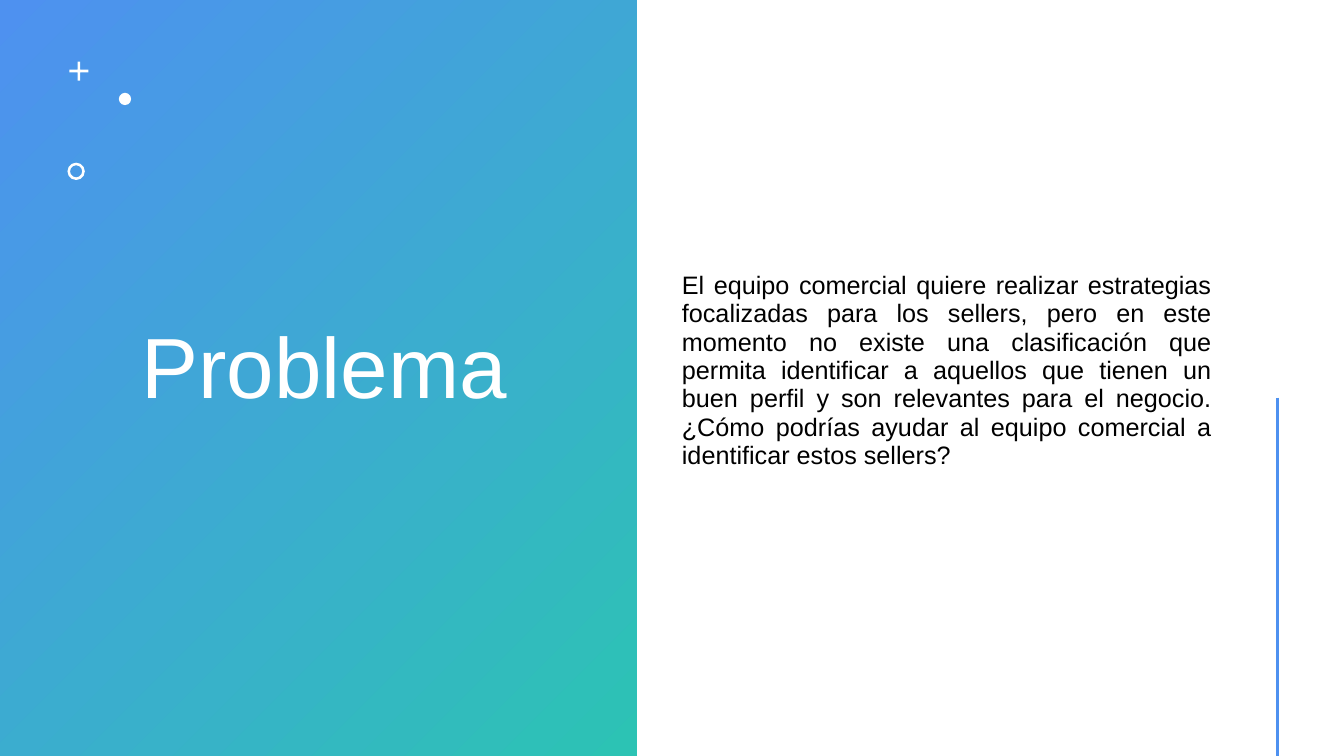
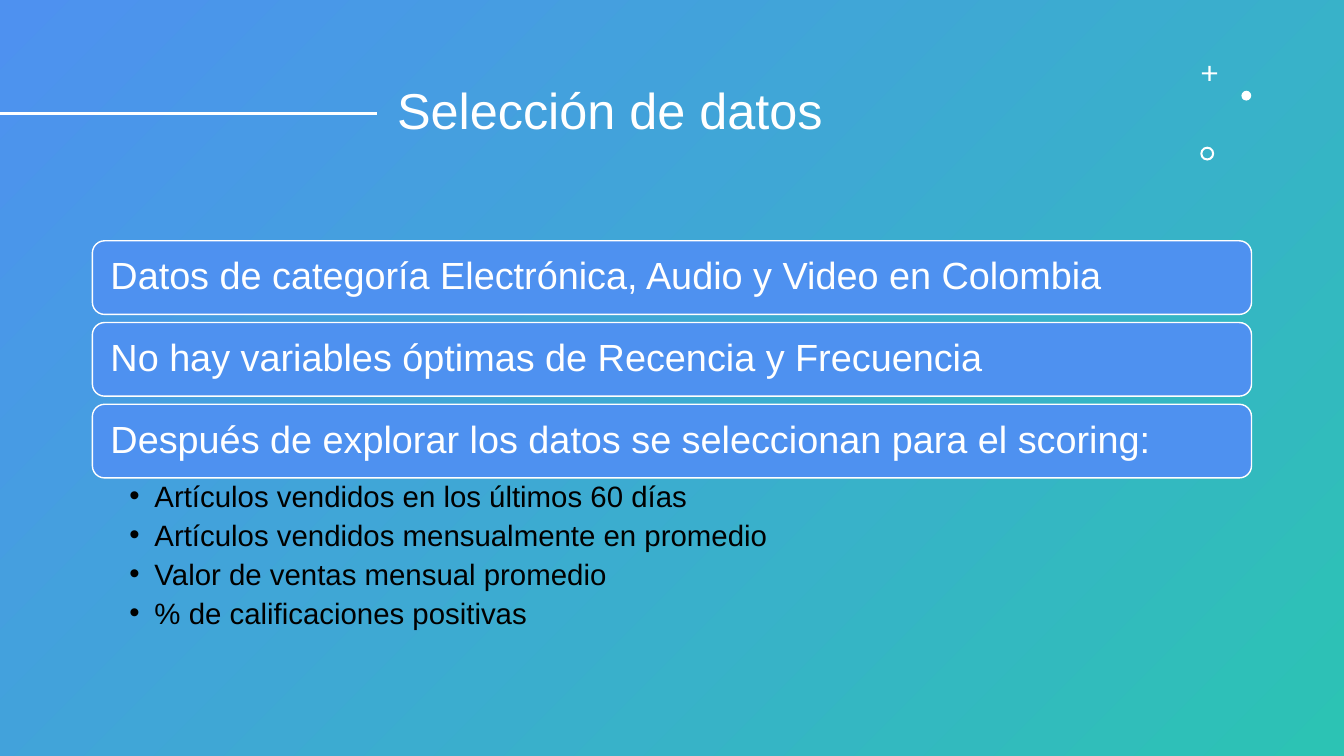
from lxml import etree
from pptx import Presentation
from pptx.dml.color import RGBColor
from pptx.enum.shapes import MSO_CONNECTOR as Connector, MSO_SHAPE as Shape
from pptx.enum.text import MSO_ANCHOR as Anchor, PP_ALIGN as Align
from pptx.oxml.ns import qn
from pptx.util import Pt

COLORS = {"blue": "4E91F0", "teal": "2CC3B4", "white": "FFFFFF", "black": "000000"}
FONT = "Arial"
WIDTH, HEIGHT = 960, 540


def rgb(name):
    return RGBColor.from_string(COLORS[name])


def write(frame, *lines, size=18, color="black", align=Align.LEFT, anchor=Anchor.MIDDLE,
          spacing=0.9, after=0, insets=(7.2, 3.6, 7.2, 3.6), bullet=None, indent=18):
    frame.word_wrap = True
    frame.vertical_anchor = anchor
    (frame.margin_left, frame.margin_top,
     frame.margin_right, frame.margin_bottom) = map(Pt, insets)
    for index, line in enumerate(lines):
        paragraph = frame.add_paragraph() if index else frame.paragraphs[0]
        paragraph.alignment = align
        paragraph.line_spacing = spacing
        paragraph.space_after = Pt(after)
        run = paragraph.add_run()
        run.text = line
        run.font.name = FONT
        run.font.size = Pt(size)
        run.font.color.rgb = rgb(color)
        if bullet:
            properties = paragraph._p.get_or_add_pPr()
            properties.set("marL", str(Pt(indent)))
            properties.set("indent", str(-Pt(indent)))
            etree.SubElement(properties, qn("a:buFont")).set("typeface", FONT)
            etree.SubElement(properties, qn("a:buChar")).set("char", bullet)


class Deck:
    def __init__(self):
        self.presentation = Presentation()
        self.presentation.slide_width = Pt(WIDTH)
        self.presentation.slide_height = Pt(HEIGHT)
        self.slide = None

    def new_slide(self):
        self.slide = self.presentation.slides.add_slide(self.presentation.slide_layouts[6])

    def shape(self, kind, left, top, width, height, fill="white", outline=None):
        shape = self.slide.shapes.add_shape(kind, Pt(left), Pt(top), Pt(width), Pt(height))
        shape.shadow.inherit = False
        shape.fill.solid()
        shape.fill.fore_color.rgb = rgb(fill)
        if outline:
            shape.line.color.rgb = rgb(outline)
            shape.line.width = Pt(1)
        else:
            shape.line.fill.background()
        return shape

    def gradient_panel(self, width):
        panel = self.shape(Shape.RECTANGLE, 0, 0, width, HEIGHT)
        panel.fill.gradient()
        panel.fill.gradient_angle = 315
        for stop, color, position in zip(panel.fill.gradient_stops, ("blue", "teal"), (0, 1)):
            stop.color.rgb = rgb(color)
            stop.position = position

    def text(self, left, top, width, height, *lines, **style):
        box = self.slide.shapes.add_textbox(Pt(left), Pt(top), Pt(width), Pt(height))
        write(box.text_frame, *lines, **style)

    def title(self, left, top, width, height, wording, size):
        self.text(left, top, width, height, wording, size=size, color="white")

    def line(self, x1, y1, x2, y2, color):
        line = self.slide.shapes.add_connector(Connector.STRAIGHT, Pt(x1), Pt(y1), Pt(x2), Pt(y2))
        line.line.color.rgb = rgb(color)
        line.line.width = Pt(2)
        etree.SubElement(line._element.spPr, qn("a:effectLst"))

    def ornaments(self, left, top, scale=1):
        for kind, dx, dy, size, adjustment in (
            (Shape.CROSS, 1.4, 0, 13.6, 0.43),
            (Shape.OVAL, 36.7, 22.3, 8.8, None),
            (Shape.DONUT, 0, 72.2, 12.4, 0.15),
        ):
            ornament = self.shape(kind, left + dx * scale, top + dy * scale,
                                  size * scale, size * scale)
            if adjustment:
                ornament.adjustments[0] = adjustment

    def card(self, left, top, width, height, wording):
        card = self.shape(Shape.ROUNDED_RECTANGLE, left, top, width, height, "blue", "white")
        write(card.text_frame, wording, size=27, color="white", insets=(10.4, 8, 10.4, 8))


def problem_slide(deck):
    deck.new_slide()
    deck.gradient_panel(455)
    deck.title(94, 30, 315, 470, "Problema", 61)
    deck.ornaments(48.2, 44)
    deck.text(480, 30, 392.4, 470,
              "El equipo comercial quiere realizar estrategias focalizadas para los sellers, "
              "pero en este momento no existe una clasificación que permita identificar a "
              "aquellos que tienen un buen perfil y son relevantes para el negocio. ¿Cómo "
              "podrías ayudar al equipo comercial a identificar estos sellers?",
              align=Align.JUSTIFY, spacing=0.94)
    deck.line(912.4, 284, 912.4, HEIGHT, "blue")


def data_slide(deck):
    deck.new_slide()
    deck.gradient_panel(WIDTH)
    deck.title(276.5, 29, 564, 104, "Selección de datos", 36)
    deck.line(0, 81, 269, 81, "white")
    deck.ornaments(857.4, 47, scale=0.8)

    left, top, width, height, pitch = 66, 172, 828, 52.6, 58.4
    selections = (
        "Datos de categoría Electrónica, Audio y Video en Colombia",
        "No hay variables óptimas de Recencia y Frecuencia",
        "Después de explorar los datos se seleccionan para el scoring:",
    )
    for row, selection in enumerate(selections):
        deck.card(left, top + row * pitch, width, height, selection)
    deck.text(left, 341.4, width, 116.6,
              "Artículos vendidos en los últimos 60 días",
              "Artículos vendidos mensualmente en promedio",
              "Valor de ventas mensual promedio",
              "% de calificaciones positivas",
              size=21, anchor=Anchor.TOP, after=5.2,
              insets=(26.4, 2.7, 15, 2.7), bullet="•")


def main():
    deck = Deck()
    problem_slide(deck)
    data_slide(deck)
    deck.presentation.save("out.pptx")


if __name__ == "__main__":
    main()
